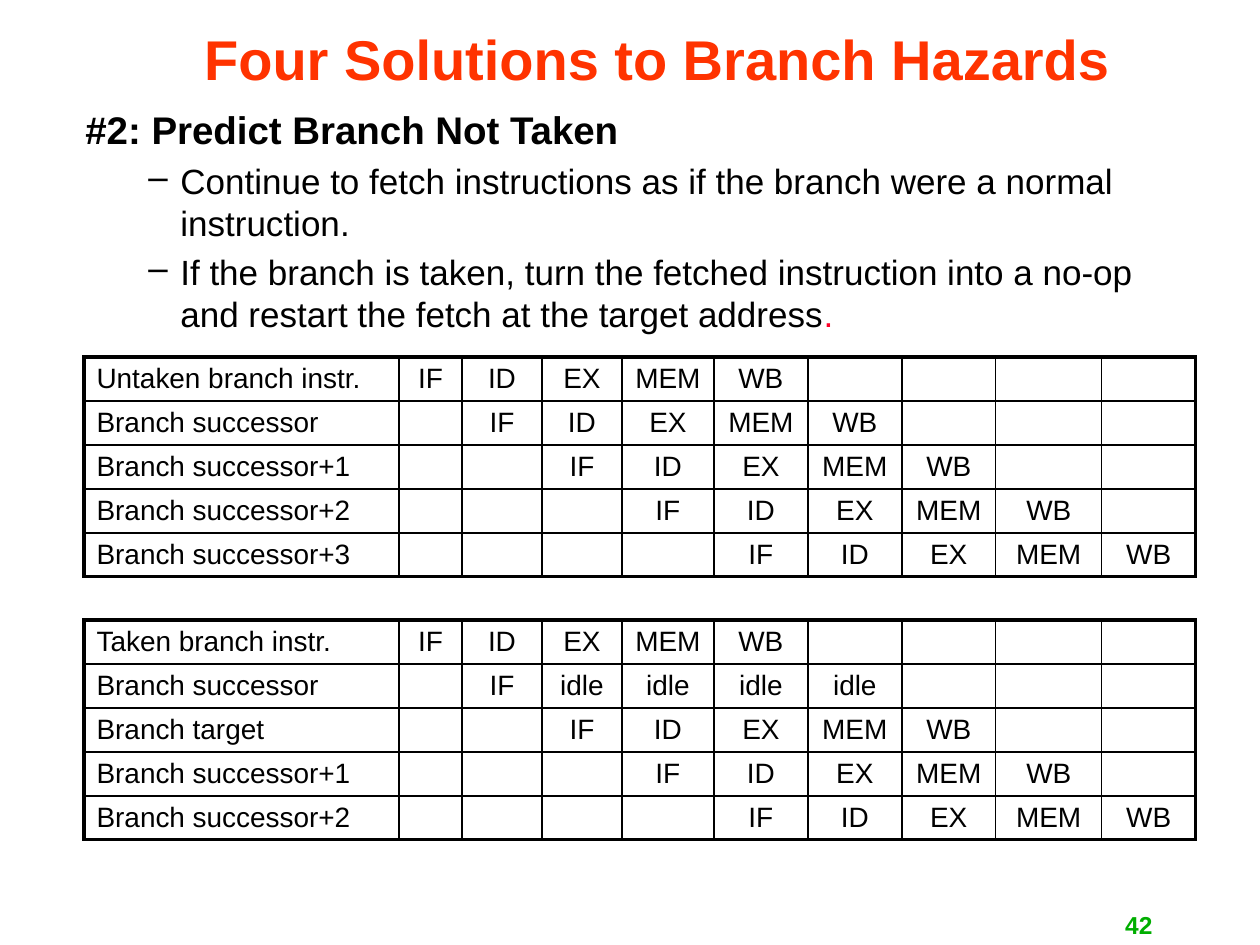
from lxml.etree import SubElement
from pptx import Presentation
from pptx.dml.color import RGBColor as Rgb
from pptx.enum.text import MSO_ANCHOR as Anchor, PP_ALIGN as Align
from pptx.oxml.ns import qn
from pptx.util import Emu, Pt

COLORS = {"title": "FF3300", "text": "000000", "number": "00AE00",
          "stop": "FC0128", "paper": "FFFFFF"}
FONT = "Arial"
PX_PER_INCH = 126
COLUMNS = [315, 63, 80, 80, 92, 94, 94, 94, 106, 94]
ROW_HEIGHT = 44
STAGES = ["IF", "ID", "EX", "MEM", "WB"]
STALLED = ["IF"] + ["idle"] * 4
UNTAKEN = [("Untaken branch instr.", STAGES), ("Branch successor", STAGES),
           ("Branch successor+1", STAGES), ("Branch successor+2", STAGES),
           ("Branch successor+3", STAGES)]
TAKEN = [("Taken branch instr.", STAGES), ("Branch successor", STALLED),
         ("Branch target", STAGES), ("Branch successor+1", STAGES),
         ("Branch successor+2", STAGES)]
POINTS = [
    [("Continue to fetch instructions as if the branch were a normal instruction.", "text")],
    [("If the branch is taken, turn the fetched instruction into a no-op "
      "and restart the fetch at the target address", "text"), (".", "stop")],
]


def px(length):
    return Emu(round(length * 914400 / PX_PER_INCH))


class SlideBuilder:
    """Holds the deck, its current page and the shared text and table style."""

    def __init__(self):
        self.deck = Presentation()
        self.deck.slide_width, self.deck.slide_height = px(1260), px(945)
        self.page = self.deck.slides.add_slide(self.deck.slide_layouts[6])

    def style(self, para, size, color="text", bold=False, align=Align.LEFT):
        font = para.font
        font.name, font.size, font.bold = FONT, Pt(size), bold
        font.color.rgb = Rgb.from_string(COLORS[color])
        para.alignment = align

    def box(self, left, top, width, height, anchor=Anchor.TOP, wrap=True):
        frame = self.page.shapes.add_textbox(
            px(left), px(top), px(width), px(height)).text_frame
        frame.word_wrap, frame.vertical_anchor = wrap, anchor
        return frame

    def label(self, text, place, size, color, align, wrap=True):
        para = self.box(*place, Anchor.MIDDLE, wrap).paragraphs[0]
        para.text = text
        self.style(para, size, color, True, align)

    def outline(self, heading, points, place):
        frame = self.box(*place)
        para = frame.paragraphs[0]
        para.text, para.line_spacing = heading, 0.9
        self.style(para, 22, bold=True)
        for spans in points:
            para = frame.add_paragraph()
            para.level, para.space_before = 1, Pt(4)
            self.style(para, 20)
            for text, color in spans:
                span = para.add_run()
                span.text = text
                span.font.color.rgb = Rgb.from_string(COLORS[color])
            self.bullet(para, "–", 95, 32)

    def bullet(self, para, mark, margin, hanging):
        props = para._p.get_or_add_pPr()
        props.set("marL", str(px(margin)))
        props.set("indent", str(-px(hanging)))
        bullet = props.makeelement(qn("a:buChar"), {"char": mark})
        props.insert_element_before(bullet, "a:tabLst", "a:defRPr", "a:extLst")

    def pipeline(self, rows, left, top):
        table = self.page.shapes.add_table(
            len(rows), len(COLUMNS), px(left), px(top),
            px(sum(COLUMNS)), px(ROW_HEIGHT * len(rows))).table
        table.first_row = table.horz_banding = False
        for column, width in zip(table.columns, COLUMNS):
            column.width = px(width)
        for r, (name, stages) in enumerate(rows):
            table.rows[r].height = px(ROW_HEIGHT)
            texts = [name] + [""] * r + stages
            texts += [""] * (len(COLUMNS) - len(texts))
            for c, text in enumerate(texts):
                edges = {"L": c == 0, "R": c == len(COLUMNS) - 1,
                         "T": r == 0, "B": r == len(rows) - 1}
                self.cell(table.cell(r, c), text, edges,
                          Align.CENTER if c else Align.LEFT)

    def cell(self, cell, text, edges, align):
        cell.margin_top = cell.margin_bottom = px(5)
        cell.vertical_anchor = Anchor.MIDDLE
        para = cell.text_frame.paragraphs[0]
        para.text = text
        self.style(para, 16, align=align)
        props = cell._tc.get_or_add_tcPr()
        for side, outer in edges.items():
            line = SubElement(props, qn(f"a:ln{side}"), w=str(Pt(2.25 if outer else 1)))
            fill = SubElement(line, qn("a:solidFill"))
            SubElement(fill, qn("a:srgbClr"), val=COLORS["text"])
        cell.fill.solid()
        cell.fill.fore_color.rgb = Rgb.from_string(COLORS["paper"])


def main():
    slide = SlideBuilder()
    slide.label("42", (903, 905, 262, 40), 14, "number", Align.RIGHT, wrap=False)
    slide.label("Four Solutions to Branch Hazards", (84, -21, 1147, 158),
                32, "title", Align.CENTER)
    slide.pipeline(UNTAKEN, 84, 357)
    slide.pipeline(TAKEN, 84, 620)
    slide.outline("#2: Predict Branch Not Taken", POINTS, (73, 105, 1124, 179))
    slide.deck.save("out.pptx")


if __name__ == "__main__":
    main()
